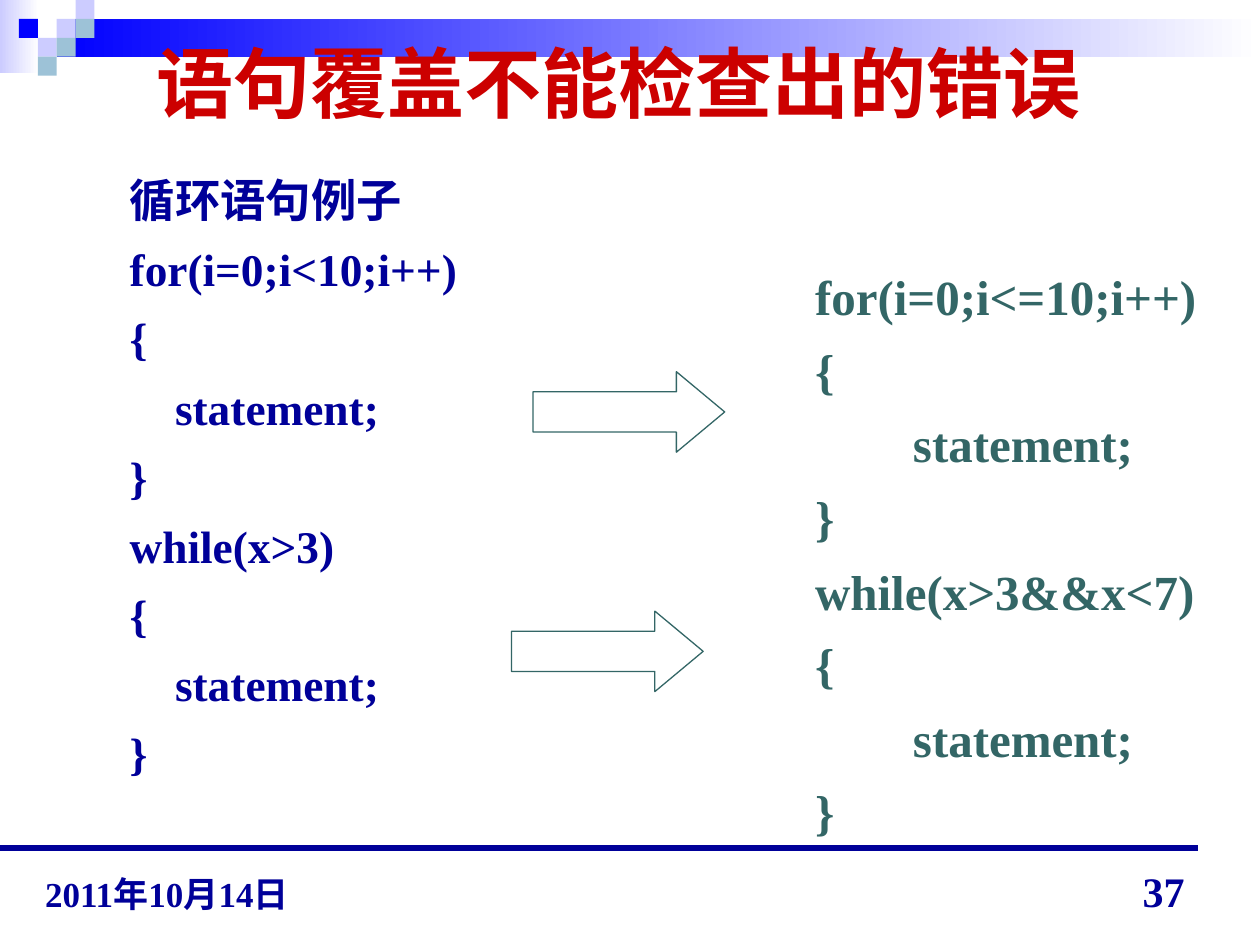
"""Build a slide on loop errors that statement coverage cannot detect."""
import pptx
import pptx.dml.color
import pptx.enum.shapes
import pptx.enum.text
import pptx.oxml
import pptx.util
from lxml import etree

Pt = pptx.util.Pt
RGB = pptx.dml.color.RGBColor.from_string
SHAPE = pptx.enum.shapes.MSO_SHAPE
ALIGN = pptx.enum.text.PP_ALIGN
ANCHOR = pptx.enum.text.MSO_ANCHOR

THEME = {
    "font": "Times New Roman",
    "white": "FFFFFF", "blue": "0000FF", "lavender": "CCCCFF", "sky": "9DC2D7",
    "navy": "000099", "red": "CC0000", "teal": "336666",
    "title": 44, "left_code": 25.9, "right_code": 28, "number": 24, "date": 20,
}

prs = pptx.Presentation()
prs.slide_width, prs.slide_height = Pt(720), Pt(540)
s = prs.slides.add_slide(prs.slide_layouts[6])


def add_shape(kind, x, y, w, h):
    sp = s.shapes.add_shape(kind, Pt(x), Pt(y), Pt(w), Pt(h))
    sp.shadow.inherit = False
    sp.line.fill.background()
    return sp


def add_text(box, lines, size, color, align=ALIGN.LEFT, anchor=ANCHOR.TOP):
    tf = s.shapes.add_textbox(*(Pt(v) for v in box)).text_frame
    tf.word_wrap = True
    tf.vertical_anchor = anchor
    for i, line in enumerate(lines):
        p = tf.paragraphs[0] if i == 0 else tf.add_paragraph()
        p.text = line
        p.alignment = align
        p.space_before = Pt(8.4 if i else 0)
        p.font.name = THEME["font"]
        p.font.size = Pt(THEME[size])
        p.font.bold = True
        p.font.color.rgb = RGB(THEME[color])


for x, y, w, h, color in [(0, 0, 22.3, 41.8, "lavender"), (32.4, 10.8, 687.6, 21.6, "blue")]:
    sp = add_shape(SHAPE.RECTANGLE, x, y, w, h)
    sp.fill.gradient()
    sp.fill.gradient_angle = 0
    for stop, name in zip(sp.fill.gradient_stops, (color, "white")):
        stop.color.rgb = RGB(THEME[name])

TILE = 10.8
for col, row, color in [(3, 1, "lavender"), (4, 0, "lavender"), (4, 1, "sky"), (2, 2, "lavender"),
                        (1, 1, "blue"), (3, 2, "sky"), (2, 3, "sky")]:
    sp = add_shape(SHAPE.RECTANGLE, col * TILE, row * TILE, TILE, TILE)
    sp.fill.solid()
    sp.fill.fore_color.rgb = RGB(THEME[color])

rule = s.shapes.add_connector(pptx.enum.shapes.MSO_CONNECTOR.STRAIGHT,
                              Pt(0), Pt(484.6), Pt(684.7), Pt(484.6))
rule.line.color.rgb = RGB(THEME["navy"])
rule.line.width = Pt(3.25)
etree.SubElement(rule.element.spPr, pptx.oxml.ns.qn("a:effectLst"))

add_text((29.5, 0, 648, 93.6), ["语句覆盖不能检查出的错误"], "title", "red", ALIGN.CENTER, ANCHOR.MIDDLE)

add_text((67, 95, 214, 370),
         ["循环语句例子", "for(i=0;i<10;i++)", "{", "    statement;", "}",
          "while(x>3)", "{", "    statement;", "}"], "left_code", "navy")

for x, y in [(304.6, 212.4), (292.3, 349.2)]:
    sp = add_shape(SHAPE.RIGHT_ARROW, x, y, 109.5, 46)
    sp.adjustments[1] = 0.6
    sp.fill.background()
    sp.line.color.rgb = RGB(THEME["teal"])
    sp.line.width = Pt(0.75)

add_text((458.7, 149, 236.9, 334),
         ["for(i=0;i<=10;i++)", "{", "        statement;", "}",
          "while(x>3&&x<7)", "{", "        statement;", "}"], "right_code", "teal")

add_text((516.2, 491, 167.8, 36), ["37"], "number", "navy", ALIGN.RIGHT, ANCHOR.BOTTOM)
add_text((18.7, 488.9, 185, 37.4), ["2011年10月14日"], "date", "navy", anchor=ANCHOR.BOTTOM)

prs.save("out.pptx")
